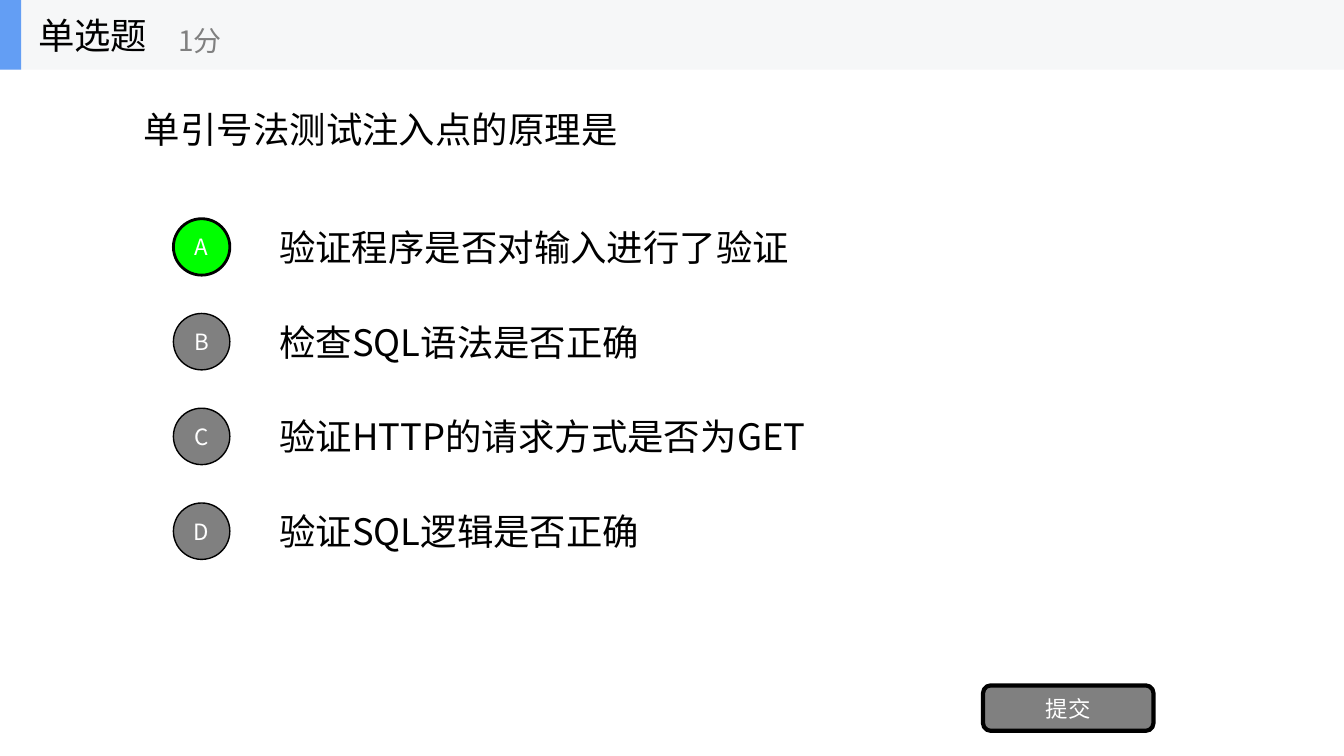
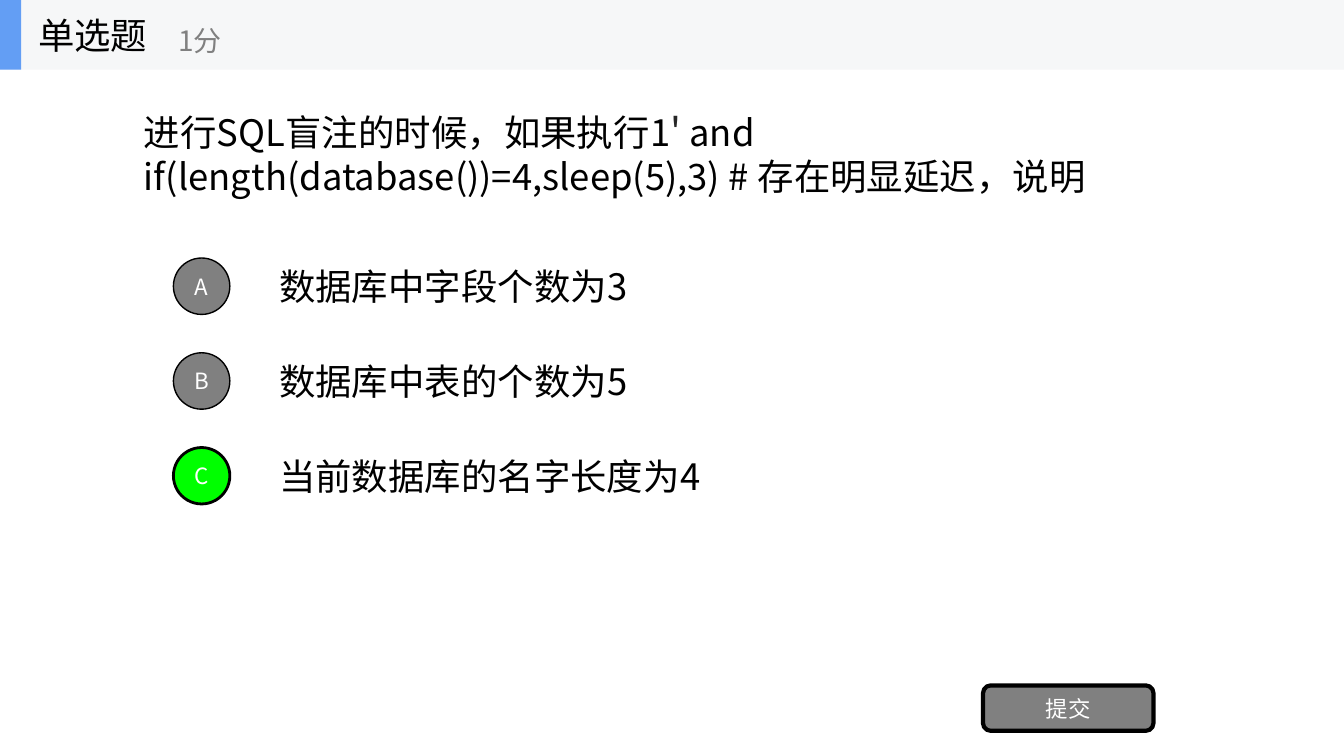
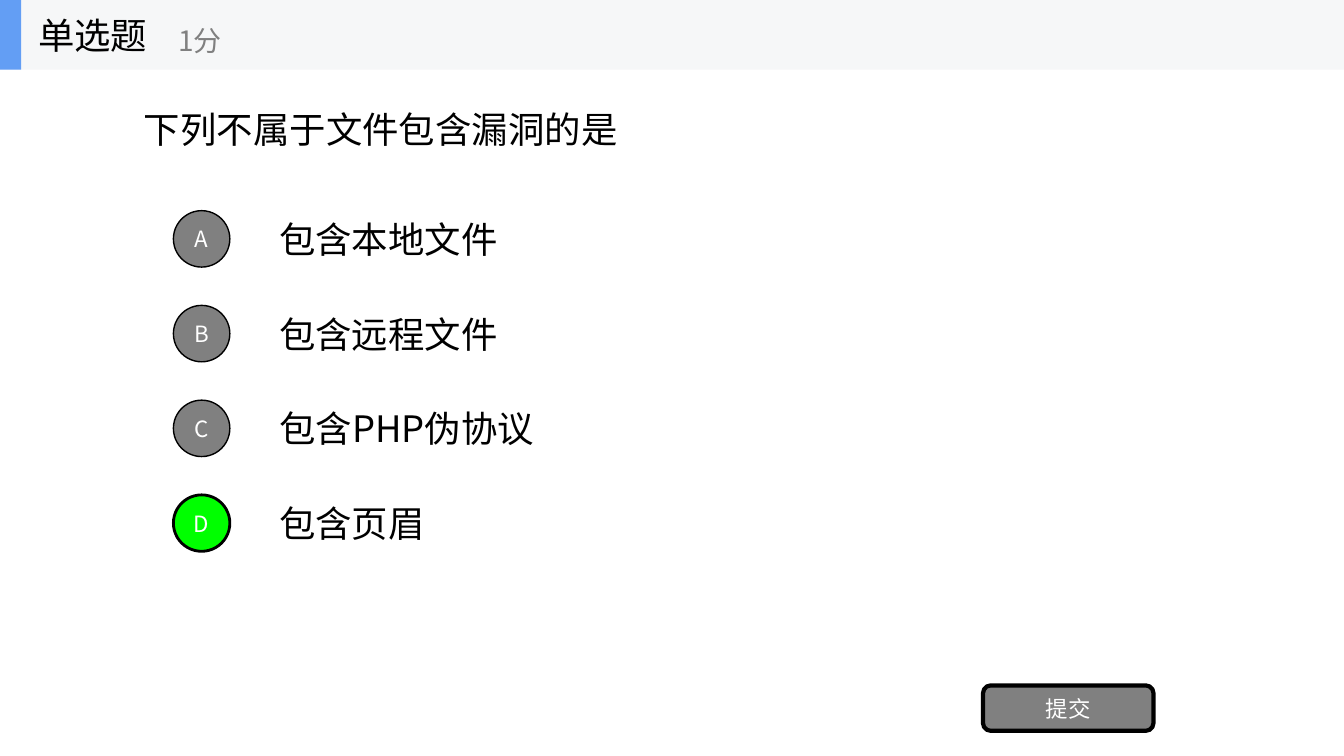
from dataclasses import dataclass

import pptx
import pptx.dml.color
import pptx.enum.shapes
import pptx.enum.text
import pptx.oxml
import pptx.oxml.ns
import pptx.util
from lxml import etree

Inches = pptx.util.Inches
Pt = pptx.util.Pt
ShapeKind = pptx.enum.shapes.MSO_SHAPE
Align = pptx.enum.text.PP_ALIGN

# Shared style
FONT = "Noto Sans CJK SC"
BLACK, WHITE, GREY, DARK = "000000", "FFFFFF", "808080", "262626"
BAND, ACCENT, CORRECT = "F6F7F8", "639EF4", "00FF00"
TEXT_SIZE, SCORE_SIZE, BUTTON_SIZE = 26, 20, 16

# Shared layout, in inches
SLIDE_WIDTH, SLIDE_HEIGHT = 13.33, 7.5
HEADER_HEIGHT = 0.69
OPTION_HEIGHT, OPTION_PITCH, CIRCLE = 0.7, 0.94, 0.56


@dataclass(frozen=True)
class Box:
    left: float
    top: float
    width: float
    height: float

    def lengths(self) -> list:
        return [Inches(n) for n in (self.left, self.top, self.width, self.height)]


@dataclass(frozen=True)
class Run:
    text: str
    size: float = TEXT_SIZE
    colour: str = BLACK


@dataclass(frozen=True)
class Question:
    prompt: tuple[Run, ...]
    prompt_height: float
    options_top: float
    options: tuple[str, ...]
    answer: str


QUESTIONS = (
    Question(
        (Run("单引号法测试注入点的原理是"),), 1.18, 2.1,
        ("验证程序是否对输入进行了验证", "检查SQL语法是否正确",
         "验证HTTP的请求方式是否为GET", "验证SQL逻辑是否正确"), "A"),
    Question(
        (Run("进行SQL盲注的时候，如果执行1"), Run("'", 28, DARK),
         Run(" and if(length(database())=4,sleep(5),3) # 存在明显延迟，说明")),
        1.64, 2.49,
        ("数据库中字段个数为3", "数据库中表的个数为5", "当前数据库的名字长度为4"), "C"),
    Question(
        (Run("下列不属于文件包含漏洞的是"),), 1.18, 2.02,
        ("包含本地文件", "包含远程文件", "包含PHP伪协议", "包含页眉"), "D"),
)


def rgb(colour: str) -> pptx.dml.color.RGBColor:
    return pptx.dml.color.RGBColor.from_string(colour)


def write(shape, runs: tuple[Run, ...], alignment=Align.LEFT, **extra) -> None:
    """Fill a shape with one paragraph of styled runs."""
    frame = shape.text_frame
    frame_format = {
        "word_wrap": True,
        "auto_size": pptx.enum.text.MSO_AUTO_SIZE.NONE,
        "vertical_anchor": pptx.enum.text.MSO_ANCHOR.MIDDLE,
        **extra,
    }
    for name, value in frame_format.items():
        setattr(frame, name, value)
    paragraph = frame.paragraphs[0]
    paragraph.alignment = alignment
    for item in runs:
        run = paragraph.add_run()
        run.text = item.text
        for name, value in {"size": Pt(item.size), "name": FONT}.items():
            setattr(run.font, name, value)
        run.font.color.rgb = rgb(item.colour)
        properties = run.font._element
        etree.SubElement(properties, pptx.oxml.ns.qn("a:ea"), typeface=FONT)


def add_text(shapes, box: Box, *runs: Run) -> None:
    write(shapes.add_textbox(*box.lengths()), runs)


def add_block(shapes, kind, box: Box, fill: str, line: float = 0, label: str = "") -> None:
    """Draw a filled shape, with an outline and a centred label if given."""
    shape = shapes.add_shape(kind, *box.lengths())
    shape.shadow.inherit = False
    shape.fill.solid()
    shape.fill.fore_color.rgb = rgb(fill)
    if line:
        shape.line.color.rgb = rgb(BLACK)
        shape.line.width = Pt(line)
    else:
        shape.line.fill.background()
    if label:
        write(shape, (Run(label, BUTTON_SIZE, WHITE),), Align.CENTER,
              margin_left=0, margin_right=0, margin_top=0, margin_bottom=0)


def add_header(slide) -> None:
    shapes = slide.shapes.add_group_shape().shapes
    add_block(shapes, ShapeKind.RECTANGLE, Box(0, 0, SLIDE_WIDTH, HEADER_HEIGHT), BAND)
    add_block(shapes, ShapeKind.RECTANGLE, Box(0, 0, 0.21, HEADER_HEIGHT), ACCENT)
    add_text(shapes, Box(0.28, 0, 2.08, HEADER_HEIGHT), Run("单选题"))
    add_text(shapes, Box(1.67, 0.12, 2.5, 0.56), Run("1分", SCORE_SIZE, GREY))


def add_question(slide, question: Question) -> None:
    shapes = slide.shapes
    add_text(shapes, Box(1.33, HEADER_HEIGHT, 10.67, question.prompt_height),
             *question.prompt)

    # Options with their lettered circles
    for index, (letter, option) in enumerate(zip("ABCD", question.options)):
        top = question.options_top + index * OPTION_PITCH
        add_text(shapes, Box(2.67, top, 9.33, OPTION_HEIGHT), Run(option))
        circle_top = top + (OPTION_HEIGHT - CIRCLE) / 2
        fill, line = (CORRECT, 2) if letter == question.answer else (GREY, 1)
        add_block(shapes, ShapeKind.OVAL, Box(1.72, circle_top, CIRCLE, CIRCLE),
                  fill, line, letter)

    # Submit button
    add_block(shapes, ShapeKind.ROUNDED_RECTANGLE, Box(9.75, 6.8, 1.69, 0.45),
              GREY, 3, "提交")


def main() -> None:
    presentation = pptx.Presentation()
    presentation.slide_width = Inches(SLIDE_WIDTH)
    presentation.slide_height = Inches(SLIDE_HEIGHT)
    blank = presentation.slide_layouts[6]
    for question in QUESTIONS:
        slide = presentation.slides.add_slide(blank)
        add_question(slide, question)
        add_header(slide)
    presentation.save("out.pptx")


if __name__ == "__main__":
    main()
